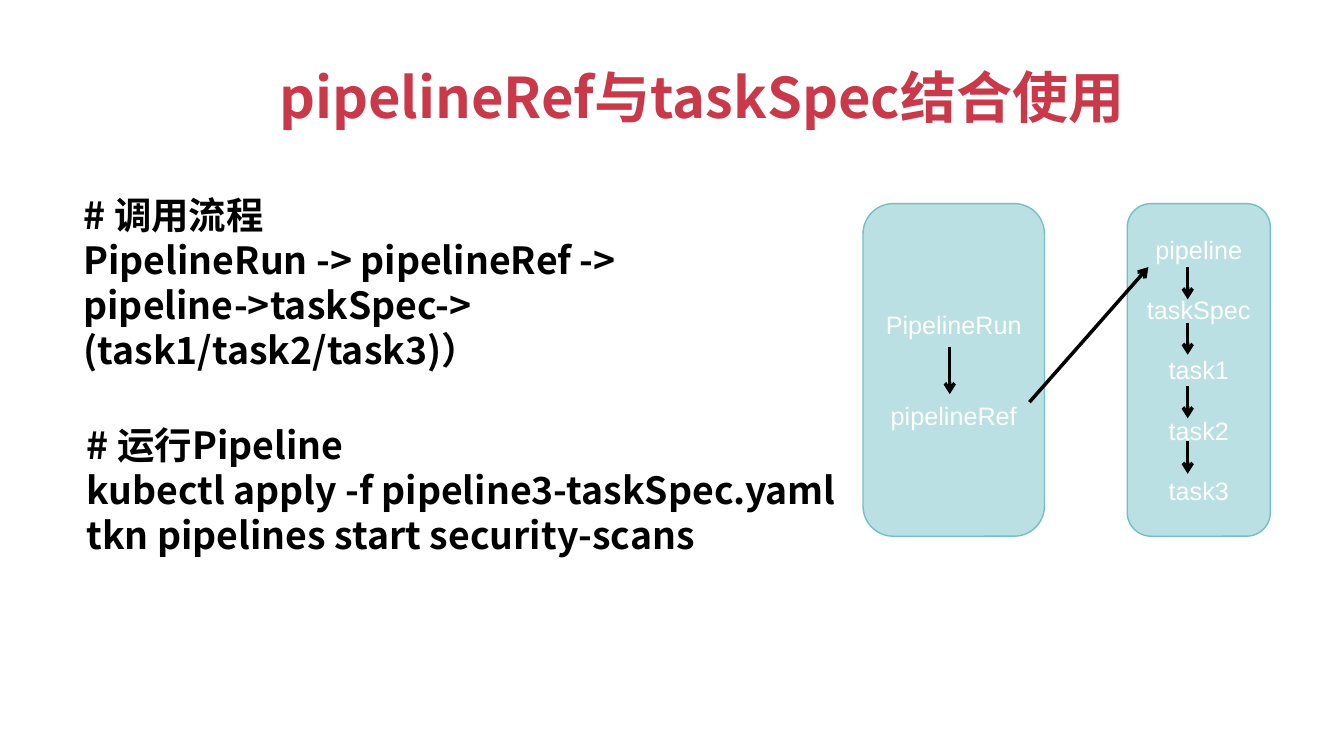
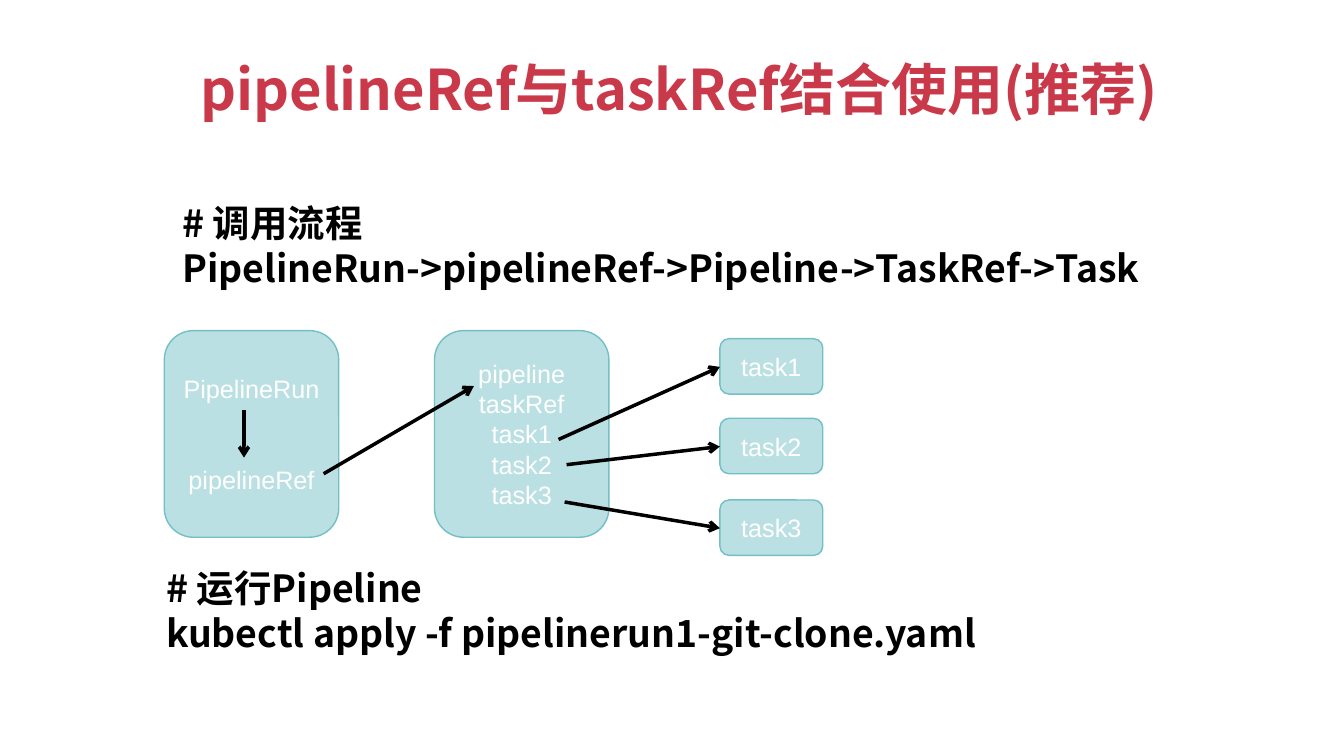
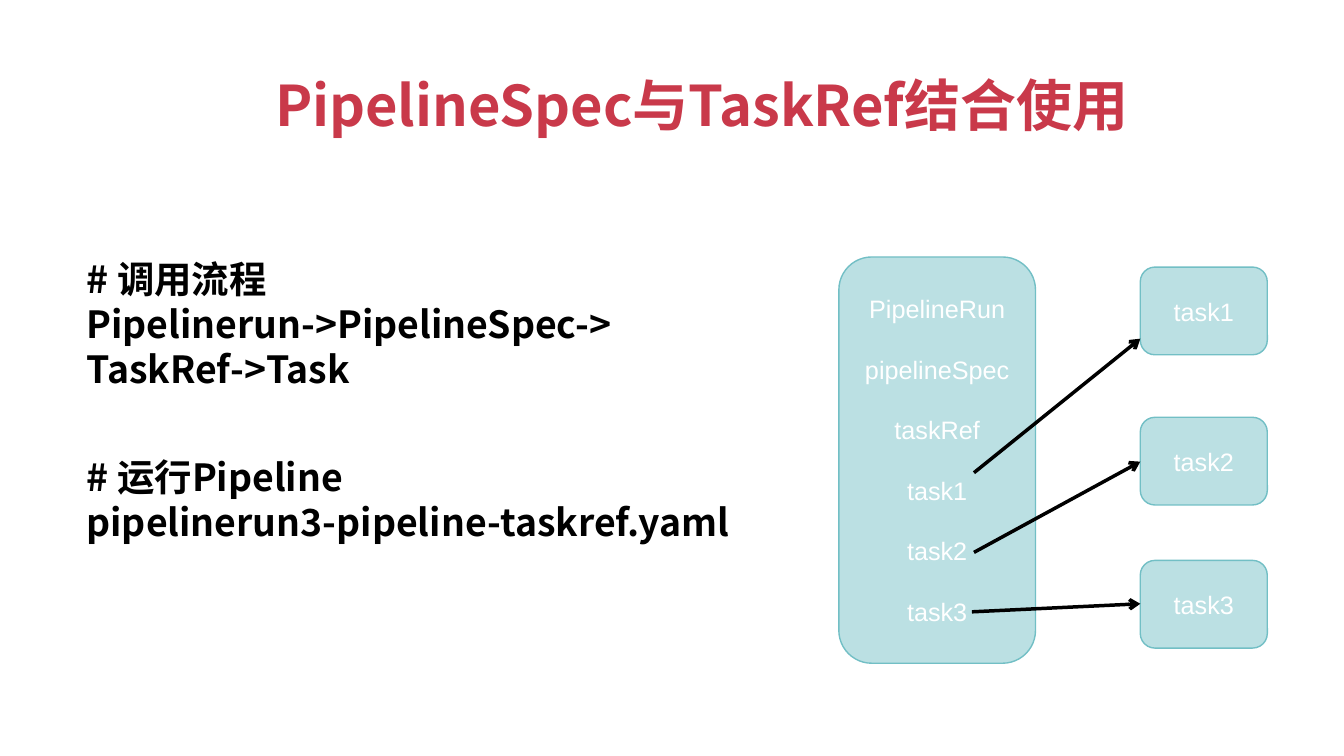
from lxml import etree
from pptx import Presentation
from pptx.dml.color import RGBColor
from pptx.enum import shapes, text
from pptx.oxml import ns
from pptx.util import Inches, Pt

COLORS = {"title": "C9394A", "body": "000000", "panel": "BBE0E3",
          "edge": "72BFC5", "label": "FFFFFF", "arrow": "000000"}
HEADING_FONT = "Noto Sans CJK SC"
LABEL_FONT = "Arial"
LABEL_SIZE = 18
LABEL_LINE = 21.6
TASKS = ["task1", "task2", "task3"]


def color(name):
    """Return the named colour."""
    return RGBColor.from_string(COLORS[name])


def add_span(para, words, font, size, tint, bold=False):
    """Add one styled run, with the same font for Latin and Chinese."""
    span = para.add_run()
    span.text = words
    span.font.name = font
    span.font.size = Pt(size)
    span.font.bold = bold
    span.font.color.rgb = color(tint)
    etree.SubElement(span.font._element, ns.qn("a:ea"), typeface=font)


def fill_lines(frame, lines, font, size, tint, bold=False, align=None, gap=0):
    """Write one paragraph per line, with a gap in points between them."""
    for index, words in enumerate(lines):
        para = frame.add_paragraph() if index else frame.paragraphs[0]
        para.alignment = align
        if index and gap:
            para.space_before = Pt(gap)
        add_span(para, words, font, size, tint, bold)


def add_text(page, box, lines, size, tint, align=None, insets=(0.1, 0.05)):
    """Place a bold text box that grows with its text."""
    frame = page.shapes.add_textbox(*map(Inches, box)).text_frame
    frame.word_wrap = True
    frame.auto_size = text.MSO_AUTO_SIZE.SHAPE_TO_FIT_TEXT
    frame.margin_left = frame.margin_right = Inches(insets[0])
    frame.margin_top = frame.margin_bottom = Inches(insets[1])
    fill_lines(frame, lines, HEADING_FONT, size, tint, True, align)


def add_title(page, box, words):
    """Place the centred slide title."""
    add_text(page, box, [words], 40, "title", text.PP_ALIGN.CENTER, (0.13, 0.07))


def add_notes_block(page, box, heading, lines):
    """Place a heading marked with # and the lines below it."""
    add_text(page, box, [f"# {heading}", *lines], 26.7, "body")


def add_arrow(page, start, end):
    """Draw a straight arrow between two points."""
    line = page.shapes.add_connector(
        shapes.MSO_CONNECTOR.STRAIGHT, *map(Inches, (*start, *end)))
    line.line.color.rgb = color("arrow")
    line.line.width = Pt(2.5)
    etree.SubElement(line.line._get_or_add_ln(), ns.qn("a:tailEnd"), type="arrow")
    etree.SubElement(line._element.spPr, ns.qn("a:effectLst"))


def add_panel(page, box, steps, blanks=0, arrow_x=0, arrow_tops=(), arrow_length=0):
    """Place a rounded panel of steps, with down arrows measured from its corner."""
    left, top, _, _ = box
    panel = page.shapes.add_shape(
        shapes.MSO_SHAPE.ROUNDED_RECTANGLE, *map(Inches, box))
    panel.shadow.inherit = False
    panel.fill.solid()
    panel.fill.fore_color.rgb = color("panel")
    panel.line.color.rgb = color("edge")
    panel.line.width = Pt(1)
    frame = panel.text_frame
    frame.word_wrap = True
    frame.vertical_anchor = text.MSO_ANCHOR.MIDDLE
    fill_lines(frame, steps, LABEL_FONT, LABEL_SIZE, "label",
               align=text.PP_ALIGN.CENTER, gap=blanks * LABEL_LINE)
    for offset in arrow_tops:
        x, y = left + arrow_x, top + offset
        add_arrow(page, (x, y), (x, y + arrow_length))


def add_task_column(page, box, offsets, starts, aims):
    """Stack task cards below the first box and point an arrow at each."""
    left, top, width, height = box
    for task, offset, start, aim in zip(TASKS, offsets, starts, aims):
        card_top = top + offset
        add_panel(page, (left, card_top, width, height), [task])
        add_arrow(page, start, (left, card_top + aim))


def build_task_spec(page):
    """Build the slide on pipelineRef with taskSpec."""
    add_title(page, (2.55, 0.55, 8.82, 0.81), "pipelineRef与taskSpec结合使用")
    add_notes_block(page, (0.76, 4.14, 7.98, 1.9), "运行Pipeline",
                    ["kubectl apply -f pipeline3-taskSpec.yaml",
                     "tkn pipelines start security-scans"])
    add_notes_block(page, (0.73, 1.86, 8.62, 1.9), "调用流程",
                    ["PipelineRun -> pipelineRef ->", "pipeline->taskSpec->",
                     "(task1/task2/task3)）"])
    add_panel(page, (8.56, 2.02, 1.8, 3.3), ["PipelineRun", "pipelineRef"],
              2, 0.86, [1.42], 0.47)
    add_panel(page, (11.18, 2.02, 1.42, 3.3), ["pipeline", "taskSpec", *TASKS],
              1, 0.6, [0.63, 1.18, 1.81, 2.36], 0.32)
    add_arrow(page, (10.21, 3.99), (11.39, 2.65))


def build_task_ref(page):
    """Build the slide on pipelineRef with taskRef."""
    add_title(page, (1.31, 0.47, 10.85, 0.81), "pipelineRef与taskRef结合使用(推荐)")
    add_notes_block(page, (1.55, 5.56, 8.94, 1), "运行Pipeline",
                    ["kubectl apply -f pipelinerun1-git-clone.yaml"])
    add_notes_block(page, (1.71, 1.94, 10.08, 1), "调用流程",
                    ["PipelineRun->pipelineRef->Pipeline->TaskRef->Task"])
    add_panel(page, (1.63, 3.28, 1.73, 2.05), ["PipelineRun", "pipelineRef"],
              2, 0.79, [0.79], 0.47)
    add_panel(page, (4.31, 3.28, 1.73, 2.05), ["pipeline", "taskRef", *TASKS])
    add_arrow(page, (3.21, 4.7), (4.7, 3.83))
    add_task_column(page, (7.14, 3.36, 1.02, 0.55), [0, 0.79, 1.6],
                    [(5.54, 4.36), (5.62, 4.61), (5.6, 4.98)], [0.28] * 3)


def build_pipeline_spec(page):
    """Build the slide on PipelineSpec with TaskRef."""
    add_title(page, (2.55, 0.63, 8.82, 0.81), "PipelineSpec与TaskRef结合使用")
    add_notes_block(page, (0.76, 4.46, 8.94, 1), "运行Pipeline",
                    ["pipelinerun3-pipeline-taskref.yaml"])
    add_notes_block(page, (0.76, 2.49, 7.57, 1.45), "调用流程",
                    ["Pipelinerun->PipelineSpec->", "TaskRef->Task"])
    add_panel(page, (8.32, 2.55, 1.95, 4.03),
              ["PipelineRun", "pipelineSpec", "taskRef", *TASKS], 1)
    add_task_column(page, (11.31, 2.65, 1.26, 0.87), [0, 1.49, 2.91],
                    [(9.66, 4.69), (9.66, 5.48), (9.64, 6.07)], [0.71, 0.44, 0.43])


def main():
    """Build the deck and save it."""
    deck = Presentation()
    deck.slide_width, deck.slide_height = Inches(13.33), Inches(7.5)
    for build in (build_task_spec, build_task_ref, build_pipeline_spec):
        build(deck.slides.add_slide(deck.slide_layouts[6]))
    deck.save("out.pptx")


if __name__ == "__main__":
    main()
